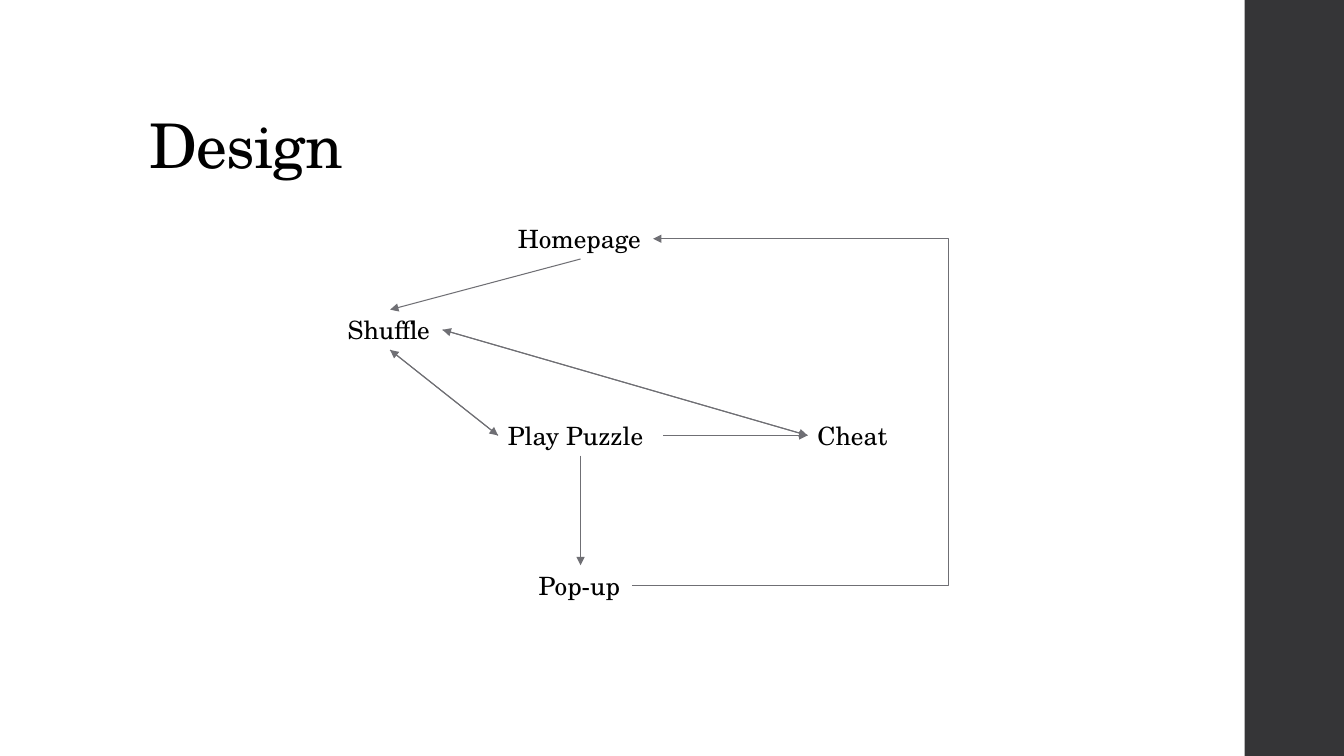
from lxml import etree
from pptx import Presentation
from pptx import util as u
from pptx.dml import color
from pptx.enum import shapes, text
from pptx.oxml import ns

COLORS = {"background": "FFFFFF", "band": "353537", "text": "000000", "arrow": "6F6F74"}
FONT = "TeX Gyre Schola"
LABEL_HEIGHT = 28.8
SITES = {"top": 0, "left": 1, "bottom": 2, "right": 3}

NODES = {
    "Homepage": (173.5, 0, 103.7),
    "Shuffle": (37.5, 65, 74.9),
    "Cheat": (368, 140.4, 64.8),
    "Play Puzzle": (173.5, 140.4, 118),
    "Pop-up": (173.5, 247.6, 74.2),
}
ARROWS = [
    ("Homepage", "bottom", "Shuffle", "top"),
    ("Play Puzzle", "left", "Shuffle", "bottom"),
    ("Shuffle", "right", "Cheat", "left"),
    ("Cheat", "left", "Shuffle", "right"),
    ("Play Puzzle", "right", "Cheat", "left"),
    ("Play Puzzle", "bottom", "Pop-up", "top"),
    ("Pop-up", "right", "Homepage", "right"),
    ("Shuffle", "bottom", "Play Puzzle", "left"),
]


def rgb(name):
    return color.RGBColor.from_string(COLORS[name])


def add_text(slide, box, words, size):
    shape = slide.shapes.add_textbox(*map(u.Pt, box))
    run = shape.text_frame.paragraphs[0].add_run()
    run.text = words
    run.font.name = FONT
    run.font.size = u.Pt(size)
    run.font.color.rgb = rgb("text")
    return shape


def add_band(slide, box):
    shape = slide.shapes.add_shape(shapes.MSO_SHAPE.RECTANGLE, *map(u.Pt, box))
    shape.shadow.inherit = False
    shape.fill.solid()
    shape.fill.fore_color.rgb = rgb("band")
    shape.line.fill.background()


def add_title(slide, box):
    frame = add_text(slide, box, "Design", 44).text_frame
    frame.word_wrap = True
    frame.vertical_anchor = text.MSO_ANCHOR.BOTTOM
    paragraph = frame.paragraphs[0]
    paragraph.line_spacing = 0.9
    paragraph.runs[0].font._element.set("spc", "-50")


def add_arrow(slide, start, start_side, end, end_side, loop_right):
    looping = start_side == end_side
    kind = shapes.MSO_CONNECTOR.ELBOW if looping else shapes.MSO_CONNECTOR.STRAIGHT
    connector = slide.shapes.add_connector(kind, 0, 0, 0, 0)
    connector.begin_connect(start, SITES[start_side])
    connector.end_connect(end, SITES[end_side])
    connector.line.color.rgb = rgb("arrow")
    connector.line.width = u.Pt(0.75)
    properties = connector._element.spPr
    etree.SubElement(connector.line._get_or_add_ln(), ns.qn("a:tailEnd"), type="triangle")
    etree.SubElement(properties, ns.qn("a:effectLst"))
    if looping:
        reach = (u.Pt(loop_right) - connector.begin_x) / (connector.end_x - connector.begin_x)
        adjustments = properties.find(ns.qn("a:prstGeom")).get_or_add_avLst()
        etree.SubElement(adjustments, ns.qn("a:gd"), name="adj1", fmla=f"val {round(reach * 100000)}")


def add_flow(slide, box):
    left, top, width, _ = box
    labels = {}
    for name, (center, offset, label_width) in NODES.items():
        place = (left + center - label_width / 2, top + offset, label_width, LABEL_HEIGHT)
        labels[name] = add_text(slide, place, name, 18)
        frame = labels[name].text_frame
        frame.word_wrap = name == "Play Puzzle"
        frame.auto_size = text.MSO_AUTO_SIZE.SHAPE_TO_FIT_TEXT
    for start, start_side, end, end_side in ARROWS:
        add_arrow(slide, labels[start], start_side, labels[end], end_side, left + width)


presentation = Presentation()
presentation.slide_width = u.Pt(960)
presentation.slide_height = u.Pt(540)
slide = presentation.slides.add_slide(presentation.slide_layouts[6])
slide.background.fill.solid()
slide.background.fill.fore_color.rgb = rgb("background")
add_band(slide, (889, 0, 72, 540))
add_title(slide, (99.4, 28.8, 763.2, 104.4))
add_flow(slide, (241.2, 156.2, 436.3, 276.4))
presentation.save("out.pptx")
